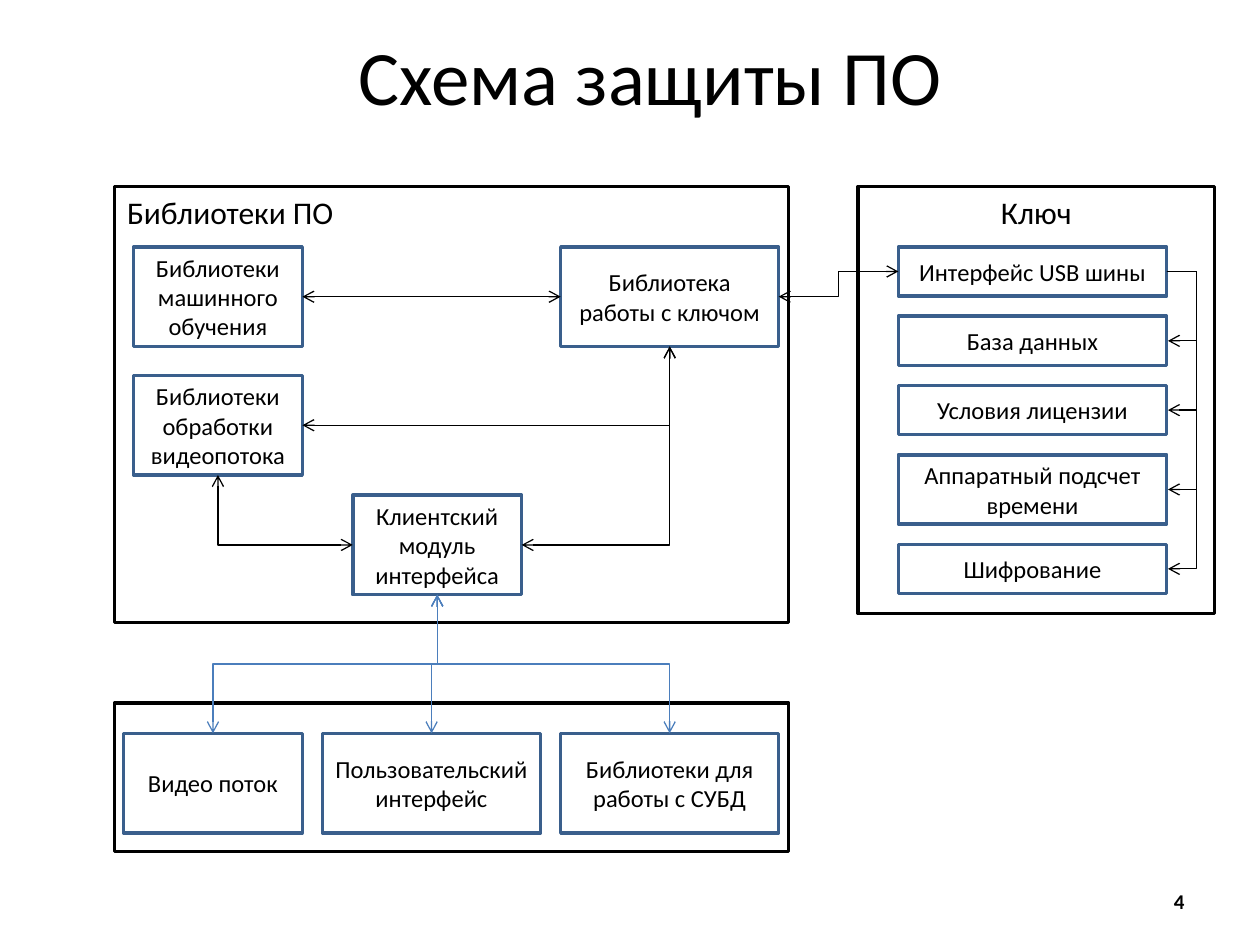
from lxml import etree
from pptx import Presentation
from pptx.dml.color import RGBColor
from pptx.enum.shapes import MSO_CONNECTOR, MSO_SHAPE
from pptx.enum.text import MSO_ANCHOR, PP_ALIGN
from pptx.oxml.ns import qn
from pptx.util import Inches, Pt

RECT = MSO_SHAPE.RECTANGLE
STRAIGHT, ELBOW = MSO_CONNECTOR.STRAIGHT, MSO_CONNECTOR.ELBOW
LEFT, MID, RIGHT = PP_ALIGN.LEFT, PP_ALIGN.CENTER, PP_ALIGN.RIGHT
TOP, CENTRE = MSO_ANCHOR.TOP, MSO_ANCHOR.MIDDLE

FONT = "Calibri"
BLACK, WHITE, NAVY, BLUE = "000000", "FFFFFF", "3A5F8C", "4B7EBC"
GAP, HIGH, LOW = 0.16, 0.79, 0.39
ROW = 1.96

# Frames: left, top, width, height, heading, alignment
FRAMES = [
    (0.91, 1.48, 5.35, 3.46, "Библиотеки ПО", LEFT),
    (6.81, 1.48, 2.83, 3.39, "Ключ", MID),
    (0.91, 5.58, 5.35, 1.18, "", MID),
]
# Modules: left, top, width, text
MODULES = {
    "learn": (1.06, ROW, 1.34, "Библиотеки машинного обучения"),
    "video": (1.06, 2.98, 1.34, "Библиотеки обработки видеопотока"),
    "client": (2.8, 3.93, 1.34, "Клиентский модуль интерфейса"),
    "keylib": (4.45, ROW, 1.73, "Библиотека работы с ключом"),
}
# Parts of the key: text, height
KEY_X, KEY_W, BUS_X = 7.13, 2.13, 9.5
KEY = [
    ("Интерфейс USB шины", LOW),
    ("База данных", LOW),
    ("Условия лицензии", LOW),
    ("Аппаратный подсчет времени", 0.55),
    ("Шифрование", LOW),
]
# Outer parts: text, width
OUTER_X, OUTER_Y = 0.98, 5.82
OUTER = [
    ("Видео поток", 1.42),
    ("Пользовательский интерфейс", 1.73),
    ("Библиотеки для работы с СУБД", 1.73),
]

deck = Presentation()
deck.slide_width, deck.slide_height = Inches(10), Inches(7.5)
slide = deck.slides.add_slide(deck.slide_layouts[6])
shapes = slide.shapes


def color(code):
    """Turn a hex string into a colour."""
    return RGBColor.from_string(code)


def write(shape, text, size=14, bold=False, align=MID, anchor=CENTRE):
    """Put formatted text in a shape."""
    frame = shape.text_frame
    frame.word_wrap = True
    frame.vertical_anchor = anchor
    para = frame.paragraphs[0]
    para.alignment = align
    run = para.add_run()
    run.text = text
    run.font.name, run.font.size, run.font.bold = FONT, Pt(size), bold
    run.font.color.rgb = color(BLACK)


def label(x, y, w, h, text, **style):
    """Add a text box."""
    write(shapes.add_textbox(*map(Inches, (x, y, w, h))), text, **style)


def box(x, y, w, h, text="", line=NAVY, **style):
    """Add an outlined box and return its place."""
    shape = shapes.add_shape(RECT, *map(Inches, (x, y, w, h)))
    shape.shadow.inherit = False
    shape.fill.solid()
    shape.fill.fore_color.rgb = color(WHITE)
    shape.line.color.rgb = color(line)
    shape.line.width = Pt(2)
    if text:
        write(shape, text, **style)
    return x, y, w, h


def side(place, name):
    """Find the middle of one side of a box."""
    x, y, w, h = place
    return {"l": (x, y + h / 2), "r": (x + w, y + h / 2),
            "t": (x + w / 2, y), "b": (x + w / 2, y + h)}[name]


def link(start, end, form=ELBOW, down=False, corner=False,
         bend=0.5, both=True, line=BLACK):
    """Add an arrow; 'down' leaves vertically, 'corner' turns only once."""
    (x1, y1), (x2, y2) = start, end
    if down:
        # A quarter turn about the centre swaps the two axes.
        cx, cy, dx, dy = (x1 + x2) / 2, (y1 + y2) / 2, x2 - x1, y2 - y1
        x1, y1 = cx - dy / 2, cy + dx / 2
        x2, y2 = cx + dy / 2, cy - dx / 2
    wire = shapes.add_connector(form, *map(Inches, (x1, y1, x2, y2)))
    wire.line.color.rgb = color(line)
    wire.line.width = Pt(0.75)
    props = wire._element.spPr
    if down:
        props.find(qn("a:xfrm")).set("rot", "5400000")
    geom = props.find(qn("a:prstGeom"))
    if corner:
        geom.set("prst", "bentConnector2")
    elif form == ELBOW:
        guides = geom.find(qn("a:avLst"))
        etree.SubElement(guides, qn("a:gd"), name="adj1",
                         fmla=f"val {round(bend * 100000)}")
    ends = ("headEnd", "tailEnd") if both else ("tailEnd",)
    for tip in ends:
        etree.SubElement(wire.line._get_or_add_ln(), qn("a:" + tip), type="arrow")
    etree.SubElement(props, qn("a:effectLst"))


label(2.19, 0.36, 5.94, 0.47, "Схема защиты ПО", size=44)
for x, y, w, h, head, align in FRAMES:
    box(x, y, w, h, head, line=BLACK, size=18, align=align, anchor=TOP)

mod = {name: box(x, y, w, HIGH, text)
       for name, (x, y, w, text) in MODULES.items()}

key, y = [], ROW
for text, h in KEY:
    key.append(box(KEY_X, y, KEY_W, h, text))
    y += h + GAP

outer, x = [], OUTER_X
for text, w in OUTER:
    outer.append(box(x, OUTER_Y, w, HIGH, text))
    x += w + GAP

usb, step = side(key[0], "r"), 0.01
for part in key[1:]:
    px, py = side(part, "r")
    link(usb, (px + step, py), bend=(BUS_X - px) / step, both=False)

link(side(mod["learn"], "r"), side(mod["keylib"], "l"), form=STRAIGHT)
link(side(mod["keylib"], "r"), side(key[0], "l"))
link(side(mod["client"], "r"), side(mod["keylib"], "b"), corner=True)
link(side(mod["keylib"], "b"), side(mod["video"], "r"), down=True, corner=True)
link(side(mod["video"], "b"), side(mod["client"], "l"), down=True, corner=True)
for part in outer:
    link(side(mod["client"], "b"), side(part, "t"), down=True, line=BLUE)

label(7.17, 6.95, 2.33, 0.4, "4", size=12, bold=True, align=RIGHT)
deck.save("out.pptx")
